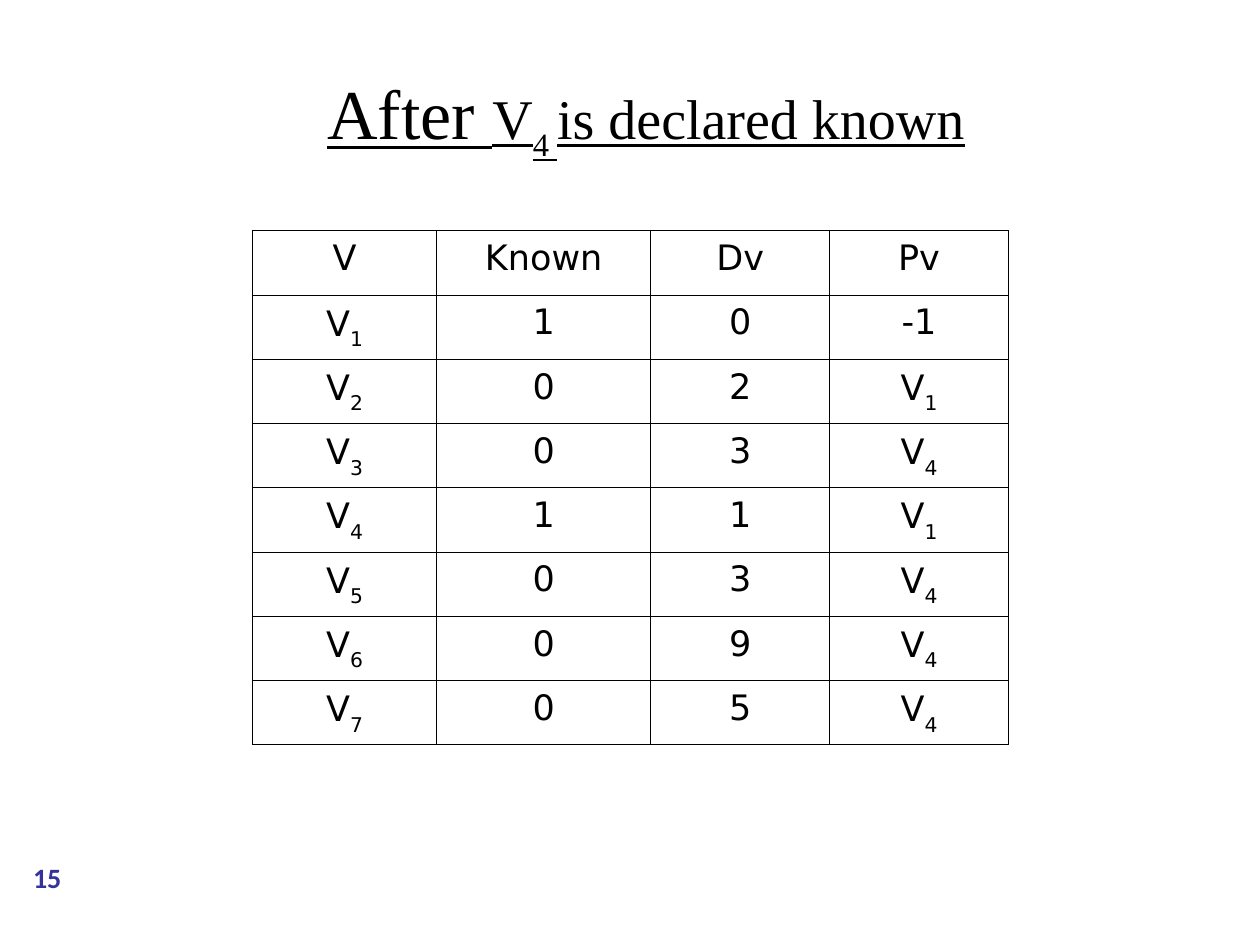
from lxml.etree import SubElement
from pptx import Presentation
from pptx.dml.color import RGBColor
from pptx.enum.shapes import MSO_SHAPE
from pptx.enum.text import MSO_ANCHOR, PP_ALIGN
from pptx.oxml.ns import qn
from pptx.util import Inches, Pt

WIDE, HIGH = Inches(10), Inches(7.5)
COLORS = {"ink": "000000", "paper": "FFFFFF", "number": "333399"}
COLS = (1.46, 1.7, 1.42, 1.42)
HEADS = ("V", "Known", "Dv", "Pv")
# vertex, known, distance, previous vertex; "_" starts a subscript
ROWS = (
    ("V_1", "1", "0", "-1"),
    ("V_2", "0", "2", "V_1"),
    ("V_3", "0", "3", "V_4"),
    ("V_4", "1", "1", "V_1"),
    ("V_5", "0", "3", "V_4"),
    ("V_6", "0", "9", "V_4"),
    ("V_7", "0", "5", "V_4"),
)


def color(name):
    return RGBColor.from_string(COLORS[name])


def place(x, y, w, h):
    """Turn shares of the slide into lengths."""
    return int(x * WIDE), int(y * HIGH), int(w * WIDE), int(h * HIGH)


def style(font, name, size, ink="ink"):
    font.name, font.size = name, Pt(size)
    font.color.rgb = color(ink)


def indent(para, left, first):
    props = para._p.get_or_add_pPr()
    props.set("marL", str(Inches(left)))
    props.set("indent", str(Inches(first)))


def add_run(para, text, sub=False):
    run = para.add_run()
    run.text = text
    if sub:
        run._r.get_or_add_rPr().set("baseline", "-30000")
    return run


def add_title(slide, box):
    frame = slide.shapes.add_textbox(*place(*box)).text_frame
    frame.word_wrap = True
    frame.vertical_anchor = MSO_ANCHOR.MIDDLE
    para = frame.paragraphs[0]
    indent(para, 2.25, -0.25)
    style(para.font, "Times New Roman", 32)
    para.font.underline = True
    add_run(para, "After ").font.size = Pt(40)
    add_run(para, "V")
    add_run(para, "4 ", sub=True)
    add_run(para, "is declared known")


def add_border(cell):
    props = cell._tc.get_or_add_tcPr()
    for side in ("lnL", "lnR", "lnT", "lnB"):
        line = SubElement(props, qn(f"a:{side}"), w=str(Pt(0.23)))
        fill = SubElement(line, qn("a:solidFill"))
        SubElement(fill, qn("a:srgbClr"), val=COLORS["ink"])


def fill_cell(cell, text):
    add_border(cell)
    cell.fill.background()
    cell.margin_top = Inches(0.07)
    para = cell.text_frame.paragraphs[0]
    para.alignment = PP_ALIGN.CENTER
    para.line_spacing = 0.96
    indent(para, 0.38, -0.37)
    style(para.font, "DejaVu Sans", 20)
    base, _, sub = text.partition("_")
    add_run(para, base)
    if sub:
        add_run(para, sub, sub=True)


def add_grid(slide, box):
    data = (HEADS, *ROWS)
    x, y, w, h = place(*box)
    table = slide.shapes.add_table(len(data), len(COLS), x, y, w, h).table
    table.first_row = table.horz_banding = False
    for col, part in zip(table.columns, COLS):
        col.width = int(w * part / sum(COLS))
    for r, row in enumerate(data):
        for c, text in enumerate(row):
            fill_cell(table.cell(r, c), text)


def add_number(slide, box):
    oval = slide.shapes.add_shape(MSO_SHAPE.OVAL, *place(*box))
    oval.shadow.inherit = False
    oval.fill.solid()
    oval.fill.fore_color.rgb = oval.line.color.rgb = color("paper")
    oval.line.width = Pt(2)
    frame = oval.text_frame
    frame.margin_left = frame.margin_right = 0
    frame.margin_top = frame.margin_bottom = 0
    frame.vertical_anchor = MSO_ANCHOR.MIDDLE
    para = frame.paragraphs[0]
    para.alignment = PP_ALIGN.CENTER
    style(para.font, "Calibri", 16, "number")
    para.font.bold = True
    add_run(para, "15")


def main():
    deck = Presentation()
    deck.slide_width, deck.slide_height = WIDE, HIGH
    slide = deck.slides.add_slide(deck.slide_layouts[6])
    add_number(slide, (0, 6.8 / 7.5, 0.075, 0.33 / 7.5))
    add_title(slide, (0.05, 0.21 / 7.5, 0.9, 1.43 / 7.5))
    add_grid(slide, (0.2, 1.83 / 7.5, 0.6, 4.08 / 7.5))
    deck.save("out.pptx")


if __name__ == "__main__":
    main()
